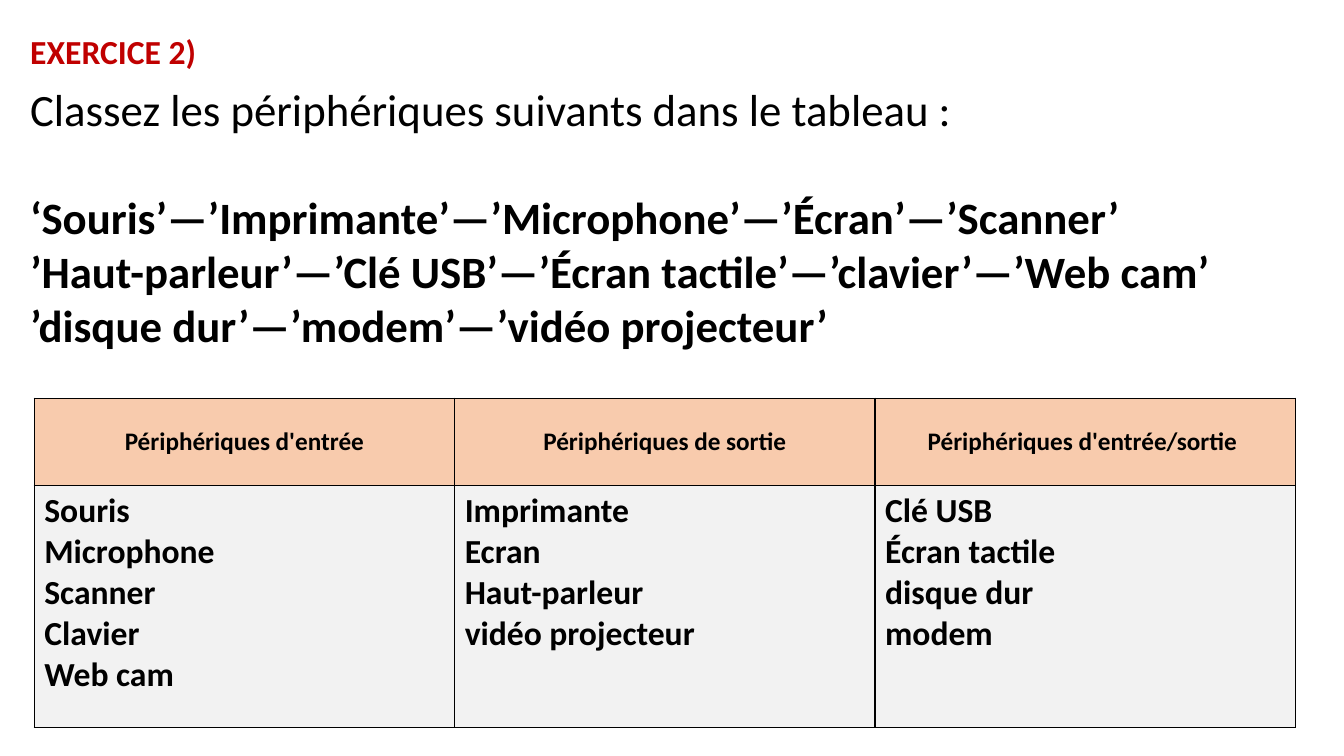
from dataclasses import dataclass

import lxml.etree
import pptx
import pptx.dml.color
import pptx.enum.text
import pptx.oxml.ns
import pptx.util

WIDTH = pptx.util.Inches(13.33)
HEIGHT = pptx.util.Inches(7.5)
FONT = "Calibri"
BLACK, RED, PEACH, GREY = "000000", "C00000", "F8CBAD", "F2F2F2"
ALIGN = pptx.enum.text.PP_ALIGN
ANCHOR = pptx.enum.text.MSO_ANCHOR


@dataclass(frozen=True)
class Box:
    """A frame in percent of the slide's width and height."""
    left: float
    top: float
    width: float
    height: float

    def emu(self) -> tuple[int, int, int, int]:
        return across(self.left), down(self.top), across(self.width), down(self.height)


@dataclass(frozen=True)
class Style:
    size: int
    bold: bool = True
    color: str = BLACK
    align: ALIGN = ALIGN.LEFT


@dataclass(frozen=True)
class Category:
    heading: str
    devices: tuple[str, ...]


TITLE_BOX = Box(1.5, 3.47, 14.93, 6.67)
TASK_BOX = Box(1.5, 10.13, 93.85, 37.2)
TABLE_BOX = Box(2.55, 52.67, 93.85, 43.6)
HEADER_HEIGHT = 11.6

TITLE_STYLE = Style(24, color=RED)
TASK_STYLE = Style(32, bold=False)
LIST_STYLE = Style(32)
HEADING_STYLE = Style(18, align=ALIGN.CENTER)
DEVICE_STYLE = Style(24)

TASK = "Classez les périphériques suivants dans le tableau :"
DEVICE_LINES = (
    "‘Souris’—’Imprimante’—’Microphone’—’Écran’—’Scanner’",
    "’Haut-parleur’—’Clé USB’—’Écran tactile’—’clavier’—’Web cam’",
    "’disque dur’—’modem’—’vidéo projecteur’",
)
CATEGORIES = (
    Category("Périphériques d'entrée",
             ("Souris", "Microphone", "Scanner", "Clavier", "Web cam")),
    Category("Périphériques de sortie",
             ("Imprimante", "Ecran", "Haut-parleur", "vidéo projecteur")),
    Category("Périphériques d'entrée/sortie ",
             ("Clé USB", "Écran tactile", "disque dur", "modem")),
)


def across(percent: float) -> int:
    return round(WIDTH * percent / 100)


def down(percent: float) -> int:
    return round(HEIGHT * percent / 100)


def rgb(value: str) -> pptx.dml.color.RGBColor:
    return pptx.dml.color.RGBColor.from_string(value)


def write(tf, lines: tuple[str, ...], style: Style) -> None:
    tf.text = "\n".join(lines)
    for p in tf.paragraphs:
        format_paragraph(p, style)


def format_paragraph(p, style: Style) -> None:
    p.alignment = style.align
    p.font.name = FONT
    p.font.size = pptx.util.Pt(style.size)
    p.font.bold = style.bold
    p.font.color.rgb = rgb(style.color)


def add_borders(cell) -> None:
    props = cell._tc.get_or_add_tcPr()
    for i, side in enumerate(("lnL", "lnR", "lnT", "lnB")):
        ln = lxml.etree.Element(pptx.oxml.ns.qn(f"a:{side}"), w=str(pptx.util.Pt(1)))
        fill = lxml.etree.SubElement(ln, pptx.oxml.ns.qn("a:solidFill"))
        lxml.etree.SubElement(fill, pptx.oxml.ns.qn("a:srgbClr"), val=BLACK)
        props.insert(i, ln)


def fill_cell(cell, lines: tuple[str, ...], style: Style, fill: str, anchor: ANCHOR) -> None:
    write(cell.text_frame, lines, style)
    cell.vertical_anchor = anchor
    cell.fill.solid()
    cell.fill.fore_color.rgb = rgb(fill)
    add_borders(cell)


def add_title(slide) -> None:
    sp = slide.shapes.title
    sp.left, sp.top, sp.width, sp.height = TITLE_BOX.emu()
    tf = sp.text_frame
    tf.word_wrap = True
    tf.auto_size = pptx.enum.text.MSO_AUTO_SIZE.NONE
    tf.vertical_anchor = ANCHOR.TOP
    write(tf, ("EXERCICE 2)",), TITLE_STYLE)


def add_task(slide) -> None:
    tf = slide.shapes.add_textbox(*TASK_BOX.emu()).text_frame
    tf.word_wrap = True
    write(tf, (TASK, *DEVICE_LINES), LIST_STYLE)
    question, first_line = tf.paragraphs[:2]
    format_paragraph(question, TASK_STYLE)
    first_line.space_before = pptx.util.Pt(39)  # one line of 32 pt text


def add_category_table(slide) -> None:
    table = slide.shapes.add_table(2, len(CATEGORIES), *TABLE_BOX.emu()).table
    table.rows[0].height = down(HEADER_HEIGHT)
    table.rows[1].height = down(TABLE_BOX.height - HEADER_HEIGHT)
    for col, category in enumerate(CATEGORIES):
        fill_cell(table.cell(0, col), (category.heading,), HEADING_STYLE, PEACH, ANCHOR.MIDDLE)
        fill_cell(table.cell(1, col), category.devices, DEVICE_STYLE, GREY, ANCHOR.TOP)


def main() -> None:
    prs = pptx.Presentation()
    prs.slide_width, prs.slide_height = WIDTH, HEIGHT
    slide = prs.slides.add_slide(prs.slide_layouts.get_by_name("Title Only"))

    # Instructions
    add_task(slide)
    add_title(slide)

    # Answers by category
    add_category_table(slide)

    prs.save("out.pptx")


if __name__ == "__main__":
    main()
